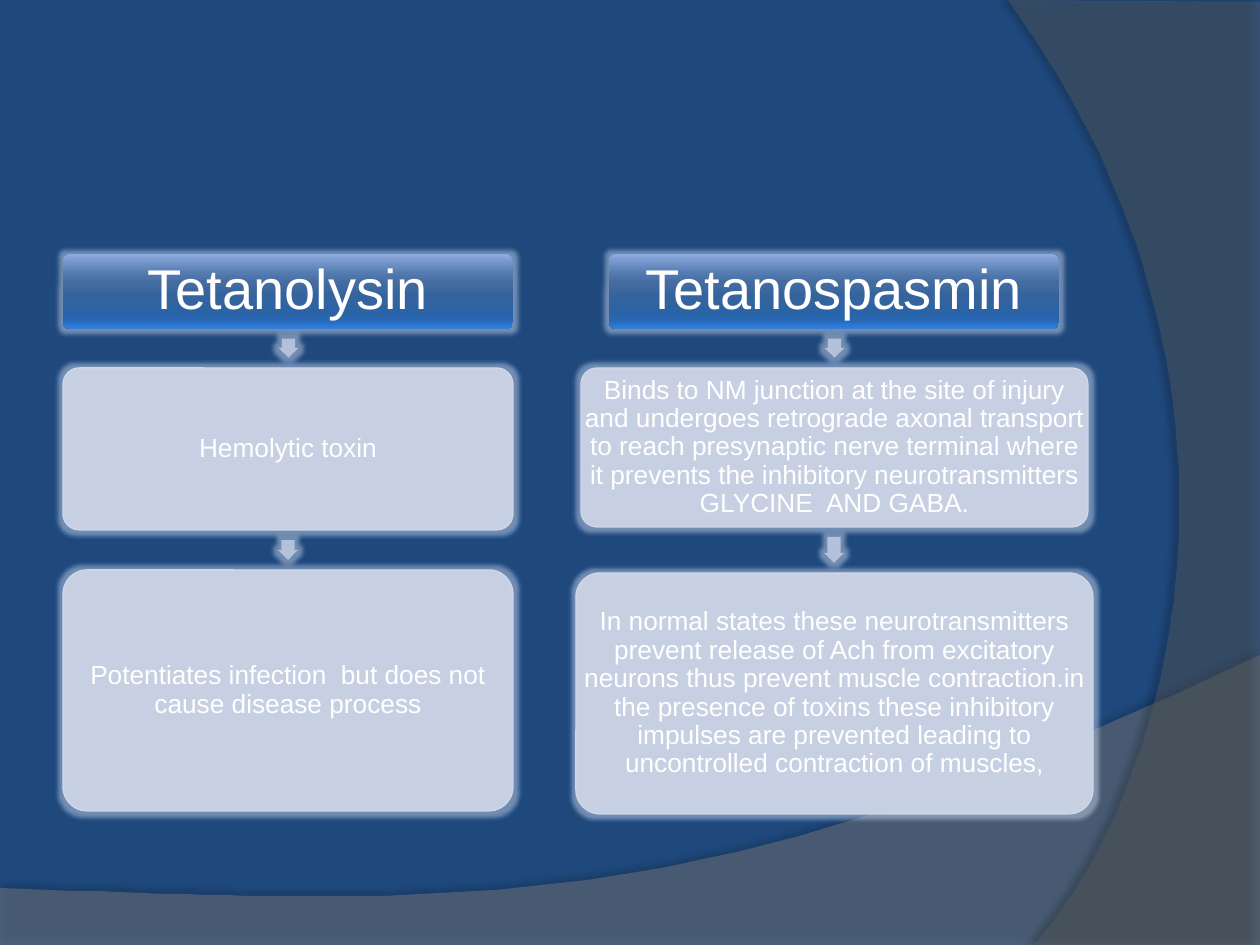
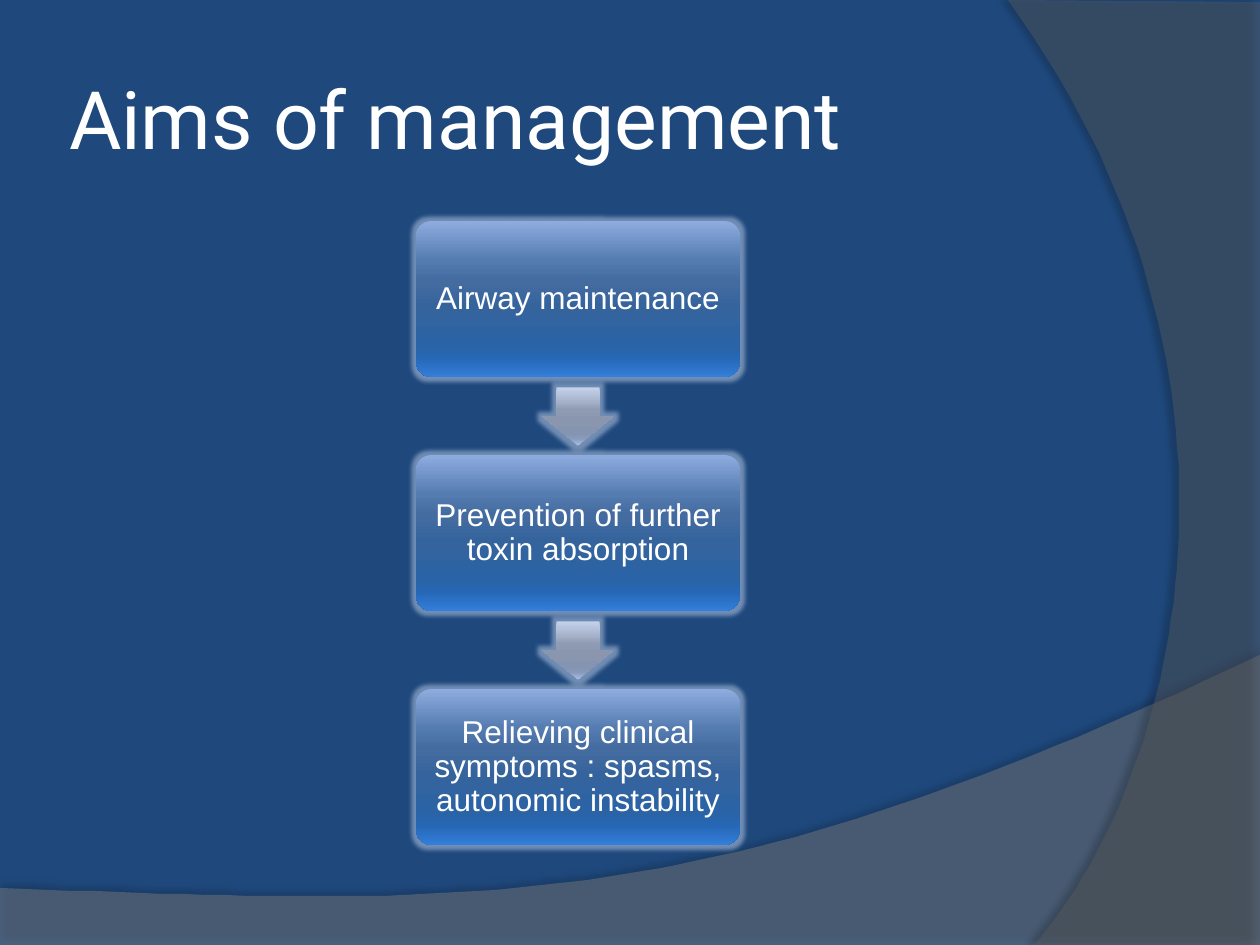
from pptx import Presentation
from pptx.dml.color import RGBColor as Rgb
from pptx.enum.shapes import MSO_SHAPE as Kind
from pptx.enum.text import MSO_ANCHOR as Anchor, PP_ALIGN as Align
from pptx.oxml import parse_xml as xml
from pptx.oxml.ns import nsdecls
from pptx.util import Inches, Pt

PX = 7257  # EMU in one px, 126 px to the inch
NS = nsdecls("a")
HUES = {"back": "1F497D", "wave": "7F7F7F", "arc": "5E5E5E", "pale": "D0D8E8",
        "tip": "B3C1DB", "glow": "C4D2EC", "text": "FFFFFF", "shade": "000000"}
STOPS = (0, 25, 38, 55, 80, 88, 100)
RAMPS = {
    "gloss": "8EACDF 557CB1 446CA0 35649D 2A63A6 2667B6 337FDB".split(),
    "steel": "C4D2EC A5B1C9 8E9BB2 8996AE 8494B1 889BBD A8BEE6".split(),
}
GLOW = (f'<a:glow rad="63500"><a:srgbClr val="{HUES["glow"]}">'
        '<a:alpha val="50000"/></a:srgbClr></a:glow>')


def paint(shape, hue, alpha=100, effect=GLOW):
    """Give a shape a ramp or a plain hue, no line, and one effect."""
    shape.line.fill.background()
    if hue in RAMPS:
        marks = "".join(f'<a:gs pos="{at * 1000}"><a:srgbClr val="{tone}"/></a:gs>'
                        for at, tone in zip(STOPS, RAMPS[hue]))
        fill = (f'<a:gradFill {NS} rotWithShape="0"><a:gsLst>{marks}</a:gsLst>'
                '<a:lin ang="5400000" scaled="0"/></a:gradFill>')
    else:
        fill = (f'<a:solidFill {NS}><a:srgbClr val="{HUES[hue]}">'
                f'<a:alpha val="{alpha * 1000}"/></a:srgbClr></a:solidFill>')
    props = shape.element.spPr
    props.ln.addprevious(xml(fill))
    props.append(xml(f"<a:effectLst {NS}>{effect}</a:effectLst>"))


def write(slide, box, text, font, size, pad, align):
    frame = slide.shapes.add_textbox(*box).text_frame
    frame.word_wrap = True
    frame.vertical_anchor = Anchor.MIDDLE
    frame.margin_left = frame.margin_right = pad * PX
    frame.margin_top = frame.margin_bottom = pad * PX
    para = frame.paragraphs[0]
    para.alignment = align
    if align == Align.CENTER:
        para.line_spacing = 0.9
    run = para.add_run()
    run.text = text
    run.font.name = font
    run.font.size = Pt(size)
    run.font.color.rgb = Rgb.from_string(HUES["text"])


deck = Presentation()
deck.slide_width, deck.slide_height = Inches(10), Inches(7.5)
back = deck.slide_master.background.fill
back.solid()
back.fore_color.rgb = Rgb.from_string(HUES["back"])
blank = deck.slide_layouts[6]
for spare in list(blank.placeholders):
    blank.shapes.element.remove(spare.element)
toxins, aims = [deck.slides.add_slide(blank) for _ in range(2)]

# Bands: straight corners, then a Bezier curve from the last corner.
# Fields: hue, alpha, shadow alpha, shadow distance, shadow angle, corners, curve.
bands = [
    ("wave", 45, 35, 3.5, 270, [(0, 888), (0, 945), (1260, 945), (1260, 655)],
     [(704, 919), (493, 906), (0, 888)]),
    ("arc", 40, 45, 4, 180, [(1260, 2), (1260, 945), (1034, 945)],
     [(1178, 780), (1283, 378), (1008, 0)]),
]
shapes = []
for hue, alpha, dark, dist, angle, spots, bend in bands:
    knots = [spots[-1]] + bend
    for step in range(1, 61):
        t = step / 60
        mix = ((1 - t) ** 3, 3 * t * (1 - t) ** 2, 3 * t * t * (1 - t), t ** 3)
        spots.append(tuple(sum(m * k[axis] for m, k in zip(mix, knots))
                           for axis in (0, 1)))
    pen = toxins.shapes.build_freeform(*spots[0], scale=PX)
    pen.add_line_segments(spots[1:])
    band = pen.convert_to_shape()
    paint(band, hue, alpha,
          f'<a:outerShdw blurRad="{Pt(4)}" dist="{Pt(dist)}" dir="{angle * 60000}" '
          f'rotWithShape="0"><a:srgbClr val="{HUES["shade"]}">'
          f'<a:alpha val="{dark * 1000}"/></a:srgbClr></a:outerShdw>')
    shapes.append(band)
for band in shapes:  # the layout shows them on both slides
    blank.shapes.element.append(band.element)

write(aims, (63 * PX, 38 * PX, 1029 * PX, 158 * PX),
      "Aims of management", "Roboto", 46, 6, Align.LEFT)

# Look of a box: hue, alpha, text size, padding
LOOKS = {"head": ("gloss", 100, 32, 5), "note": ("pale", 90, 15, 2),
         "goal": ("gloss", 100, 18, 9)}
SMALL = ("tip", 20, 0.667)
LARGE = ("steel", 71, 0.6)
goals = ["Airway maintenance", "Prevention of further toxin absorption",
         "Relieving clinical symptoms : spasms, autonomic instability"]

# Chains: slide, centre line, arrow, then boxes of look, top, width, height, text
chains = [
    (toxins, 288, SMALL, [
        ("head", 254, 450, 75, "Tetanolysin"),
        ("note", 368, 450, 162, "Hemolytic toxin"),
        ("note", 570, 450, 241,
         "Potentiates infection  but does not cause disease process")]),
    (toxins, 834, SMALL, [
        ("head", 254, 450, 75, "Tetanospasmin"),
        ("note", 368, 507, 159,
         "Binds to NM junction at the site of injury and undergoes retrograde "
         "axonal transport to reach presynaptic nerve terminal where it prevents "
         "the inhibitory neurotransmitters GLYCINE  AND GABA."),
        ("note", 573, 517, 241,
         "In normal states these neurotransmitters prevent release of Ach from "
         "excitatory neurons thus prevent muscle contraction.in the presence of "
         "toxins these inhibitory impulses are prevented leading to uncontrolled "
         "contraction of muscles,")]),
    (aims, 578, LARGE, [("goal", 221 + 234 * n, 324, 156, goal)
                        for n, goal in enumerate(goals)]),
]
for slide, mid, (tint, girth, shaft), boxes in chains:
    foot = None
    for look, top, wide, high, text in boxes:
        if foot:
            long = top - foot - 20  # 10 px free at both ends
            arrow = slide.shapes.add_shape(
                Kind.RIGHT_ARROW, (mid - long // 2) * PX,
                ((foot + top) // 2 - girth // 2) * PX, long * PX, girth * PX)
            arrow.rotation = 90
            arrow.adjustments[0], arrow.adjustments[1] = shaft, 0.5
            paint(arrow, tint)
        hue, alpha, size, pad = LOOKS[look]
        area = ((mid - wide // 2) * PX, top * PX, wide * PX, high * PX)
        card = slide.shapes.add_shape(Kind.ROUNDED_RECTANGLE, *area)
        card.adjustments[0] = 0.1
        paint(card, hue, alpha)
        if look == "note":
            card.line.color.rgb = Rgb.from_string(HUES["pale"])
            card.line.width = Pt(0.75)
        write(slide, area, text, "Arial", size, pad, Align.CENTER)
        foot = top + high

deck.save("out.pptx")
